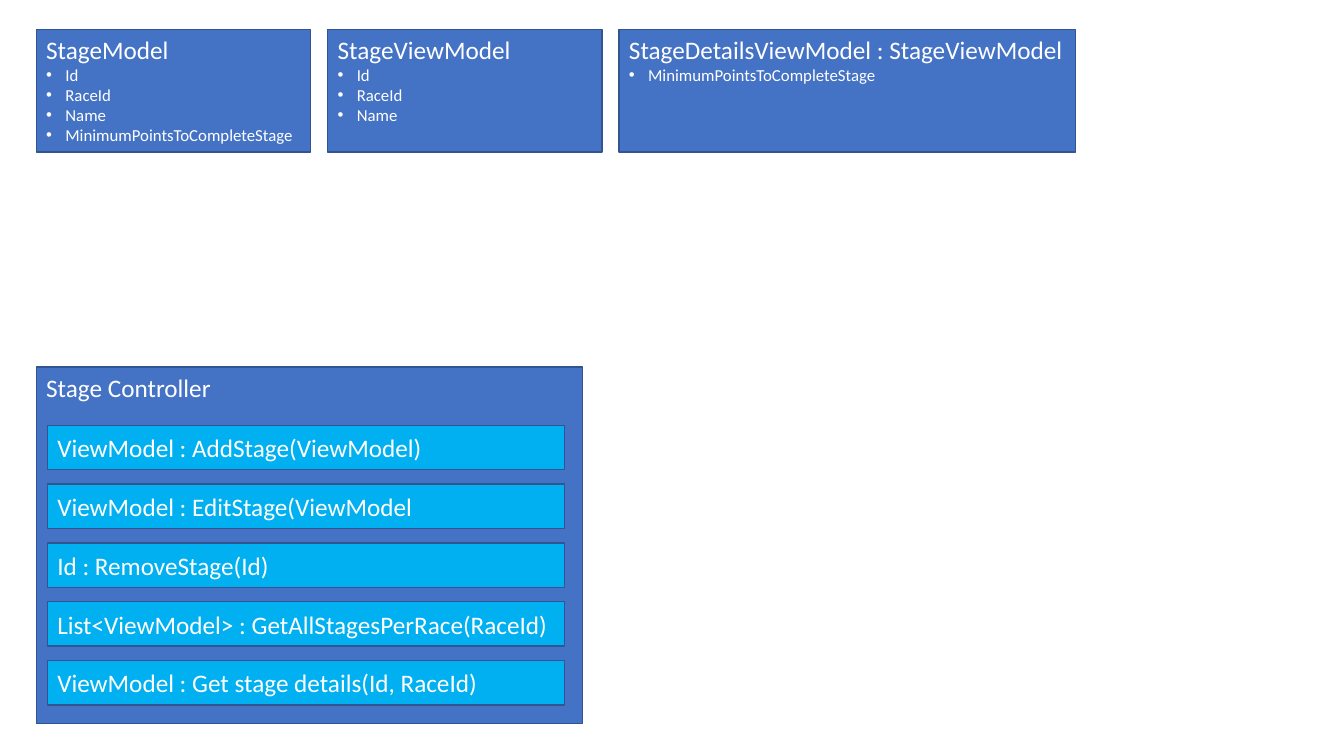
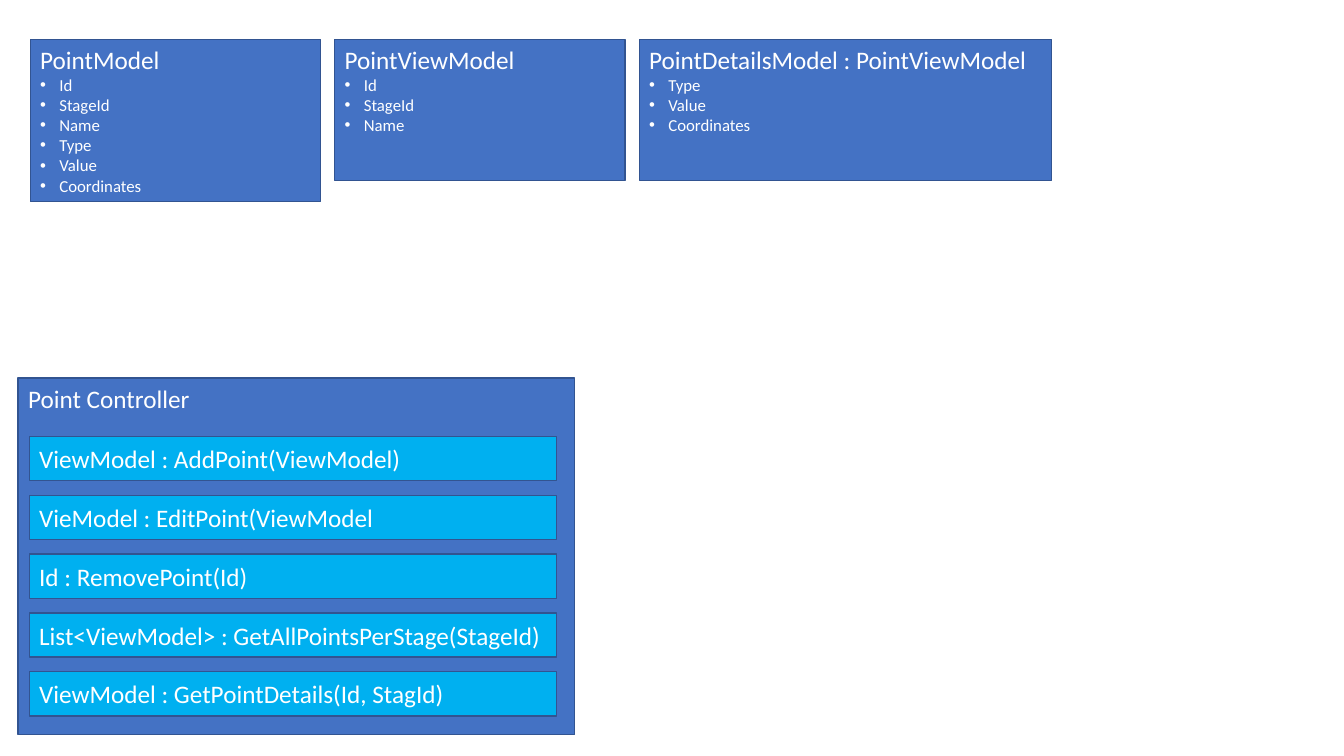
"""Build two slides that outline the stage and point models and controllers."""
from lxml.etree import SubElement
from pptx import Presentation
from pptx.dml.color import RGBColor
from pptx.enum.shapes import MSO_SHAPE
from pptx.enum.text import MSO_ANCHOR, PP_ALIGN
from pptx.oxml.ns import qn
from pptx.util import Inches, Pt

BLUE = RGBColor(0x44, 0x72, 0xC4)
CYAN = RGBColor(0x00, 0xB0, 0xF0)
OUTLINE = RGBColor(0x32, 0x54, 0x91)
WHITE = RGBColor(0xFF, 0xFF, 0xFF)
FONT = "Calibri"
TITLE_SIZE = Pt(18)
FIELD_SIZE = Pt(12)
FIELD_INDENT = Inches(0.19)
PANEL_HEIGHT = 3.54
METHOD_HEIGHT = 0.44
METHOD_INSET = 0.11
METHOD_TOP = 0.58
METHOD_STEP = 7 / 12


def format_paragraph(p, size):
    """Left-align a paragraph and style its runs."""
    p.alignment = PP_ALIGN.LEFT
    for r in p.runs:
        r.font.name = FONT
        r.font.size = size
        r.font.color.rgb = WHITE


def add_box(slide, left, top, width, height, text, fill=BLUE, anchor=MSO_ANCHOR.TOP):
    """Add an outlined rectangle with a heading and return its text frame."""
    sp = slide.shapes.add_shape(
        MSO_SHAPE.RECTANGLE, Inches(left), Inches(top), Inches(width), Inches(height)
    )
    sp.shadow.inherit = False
    sp.fill.solid()
    sp.fill.fore_color.rgb = fill
    sp.line.color.rgb = OUTLINE
    sp.line.width = Pt(1)
    tf = sp.text_frame
    tf.word_wrap = True
    tf.vertical_anchor = anchor
    tf.text = text
    format_paragraph(tf.paragraphs[0], TITLE_SIZE)
    return tf


def add_field(tf, name):
    """Append a bulleted field name to a model box."""
    p = tf.add_paragraph()
    p.text = name
    format_paragraph(p, FIELD_SIZE)
    pPr = p._p.get_or_add_pPr()
    pPr.set("marL", str(FIELD_INDENT))
    pPr.set("indent", str(-FIELD_INDENT))
    SubElement(pPr, qn("a:buFont")).set("typeface", "Arial")
    SubElement(pPr, qn("a:buChar")).set("char", "•")


def add_models(slide, left, top, gap, models):
    """Add a row of model boxes, each with its fields."""
    for title, width, height, fields in models:
        tf = add_box(slide, left, top, width, height, title)
        for name in fields:
            add_field(tf, name)
        left += width + gap


def add_controller(slide, left, top, width, title, methods):
    """Add a controller panel with its stacked methods."""
    add_box(slide, left, top, width, PANEL_HEIGHT, title)
    for i, method in enumerate(methods):
        add_box(
            slide, left + METHOD_INSET, top + METHOD_TOP + i * METHOD_STEP,
            width - 0.29, METHOD_HEIGHT, method, CYAN, MSO_ANCHOR.MIDDLE,
        )


def build_stage_slide(slide):
    """Fill the slide about stages."""
    add_controller(slide, 0.36, 3.64, 5.42, "Stage Controller", [
        "ViewModel : AddStage(ViewModel)",
        "ViewModel : EditStage(ViewModel",
        "Id : RemoveStage(Id)",
        "List<ViewModel> : GetAllStagesPerRace(RaceId)",
        "ViewModel : Get stage details(Id, RaceId)",
    ])
    base = ["Id", "RaceId", "Name"]
    details = ["MinimumPointsToCompleteStage"]
    add_models(slide, 0.36, 0.29, 0.17, [
        ("StageModel", 2.72, 1.22, base + details),
        ("StageViewModel", 2.72, 1.22, base),
        ("StageDetailsViewModel : StageViewModel", 4.53, 1.22, details),
    ])


def build_point_slide(slide):
    """Fill the slide about points."""
    add_controller(slide, 0.18, 3.75, 5.52, "Point Controller", [
        "ViewModel : AddPoint(ViewModel)",
        "VieModel : EditPoint(ViewModel",
        "Id : RemovePoint(Id)",
        "List<ViewModel> : GetAllPointsPerStage(StageId)",
        "ViewModel : GetPointDetails(Id, StagId)",
    ])
    base = ["Id", "StageId", "Name"]
    details = ["Type", "Value", "Coordinates"]
    add_models(slide, 0.3, 0.39, 0.14, [
        ("PointModel", 2.88, 1.61, base + details),
        ("PointViewModel", 2.88, 1.4, base),
        ("PointDetailsModel : PointViewModel", 4.09, 1.4, details),
    ])


def main():
    """Create the presentation and save it."""
    prs = Presentation()
    prs.slide_width = Inches(13.33)
    prs.slide_height = Inches(7.5)
    for build in (build_stage_slide, build_point_slide):
        build(prs.slides.add_slide(prs.slide_layouts[6]))
    prs.save("out.pptx")


if __name__ == "__main__":
    main()
